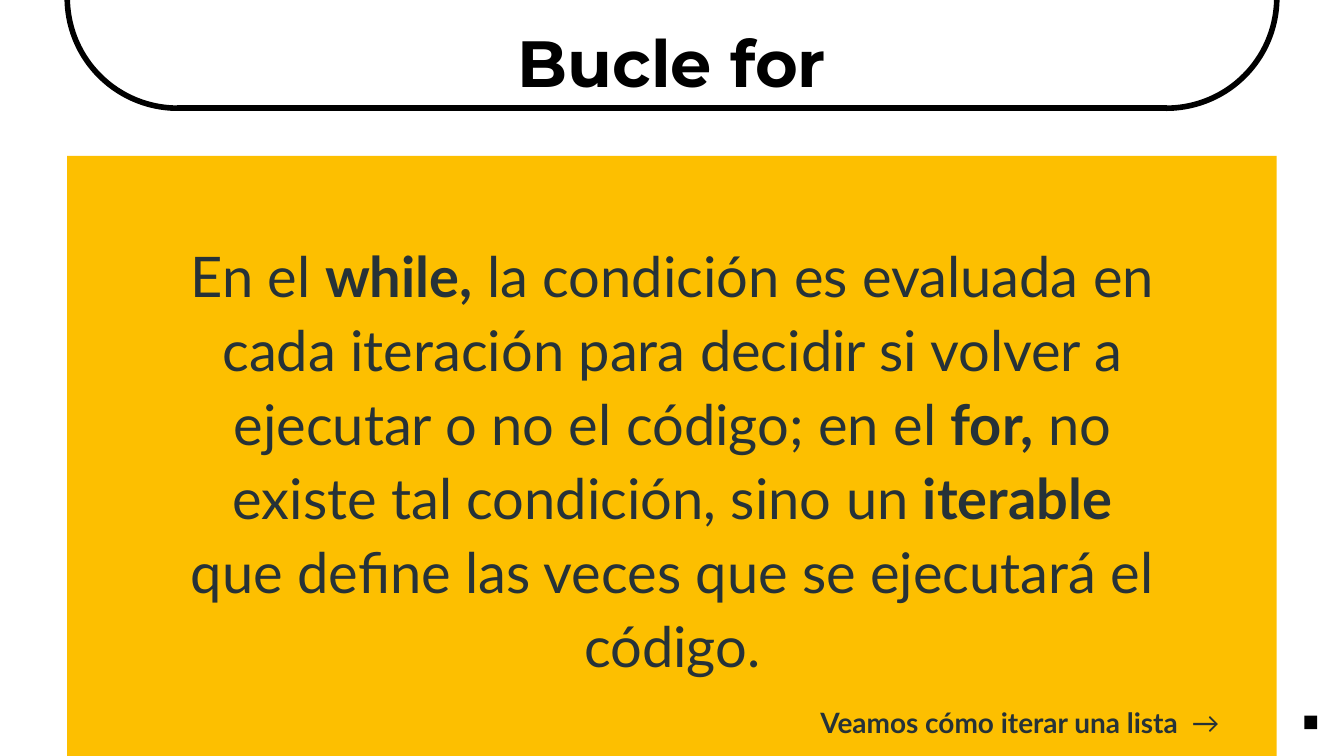
from pptx import Presentation
from pptx.dml.color import RGBColor
from pptx.enum.shapes import MSO_CONNECTOR as Connector, MSO_SHAPE as Shape
from pptx.enum.text import MSO_AUTO_SIZE as AutoSize, PP_ALIGN as Align
from pptx.oxml.ns import qn
from pptx.util import Pt
from lxml.etree import SubElement

PX = 9144
WIDTH, HEIGHT = 2000, 1125
COLORS = {"paper": "FFFFFF", "ink": "000000", "panel": "FDBF00", "text": "263238"}
TITLE = {"name": "Montserrat", "size": Pt(70), "color": "ink"}
BODY = {"name": "Lato", "size": Pt(60), "color": "text"}
NEXT = {"name": "Lato", "size": Pt(30), "color": "text"}


def rgb(name):
    return RGBColor.from_string(COLORS[name])


def emu(*lengths):
    return [length * PX for length in lengths]


def add_shape(page, kind, box, fill=None):
    shape = page.shapes.add_shape(kind, *emu(*box))
    shape.shadow.inherit = False
    if fill:
        shape.fill.solid()
        shape.fill.fore_color.rgb = rgb(fill)
        shape.line.fill.background()
    else:
        shape.fill.background()
    return shape


def draw_outline(line):
    line.color.rgb = rgb("ink")
    line.width = Pt(6)


def add_text(page, box, align, style, spans):
    frame = page.shapes.add_textbox(*emu(*box)).text_frame
    layout = {"word_wrap": True, "auto_size": AutoSize.SHAPE_TO_FIT_TEXT,
              "margin_left": 0, "margin_right": 0, "margin_top": 0, "margin_bottom": 0}
    for key, value in layout.items():
        setattr(frame, key, value)
    para = frame.paragraphs[0]
    para.alignment = align
    para.line_spacing = 1.1
    for text, bold in spans:
        span = para.add_run()
        span.text = text
        for key, value in {**style, "bold": bold}.items():
            if key == "color":
                span.font.color.rgb = rgb(value)
            else:
                setattr(span.font, key, value)


def add_header(page, box, title):
    left, top, width, height = box
    bottom = top + height
    size = 329
    for x, turn in ((left + width - size, 90), (left, 180)):
        arc = add_shape(page, Shape.ARC, (x, bottom - size, size, size))
        arc.rotation = turn
        draw_outline(arc.line)
    ends = (left + width - size // 2, bottom, left + size // 2, bottom)
    edge = page.shapes.add_connector(Connector.STRAIGHT, *emu(*ends))
    SubElement(edge._element.spPr, qn("a:effectLst"))
    draw_outline(edge.line)
    add_text(page, (left, top + 21, width, 118), Align.CENTER, TITLE, [(title, True)])


def add_panel(page, box, message, next_step):
    left, top, width, height = box
    add_shape(page, Shape.RECTANGLE, box, "panel")
    add_text(page, (left + 182, top + 118, width - 363, 656), Align.CENTER, BODY, message)
    add_text(page, (left + 443, top + height - 80, width - 528, 50), Align.RIGHT, NEXT, next_step)


def main():
    deck = Presentation()
    deck.slide_width, deck.slide_height = emu(WIDTH, HEIGHT)
    page = deck.slides.add_slide(deck.slide_layouts[6])
    page.background.fill.solid()
    page.background.fill.fore_color.rgb = rgb("paper")
    add_shape(page, Shape.RECTANGLE, (1941, 1065, 19, 20), "ink")
    add_panel(page, (100, 232, 1800, 893), [
        ("En el ", False),
        ("while,", True),
        (" la condición es evaluada en cada iteración para decidir si volver a "
         "ejecutar o no el código; en el ", False),
        ("for,", True),
        (" no existe tal condición, sino un ", False),
        ("iterable ", True),
        ("que define las veces que se ejecutará el código.", False),
    ], [("Veamos cómo iterar una lista  ", True), ("→", False)])
    add_header(page, (100, 0, 1800, 161), "Bucle for")
    deck.save("out.pptx")


if __name__ == "__main__":
    main()
